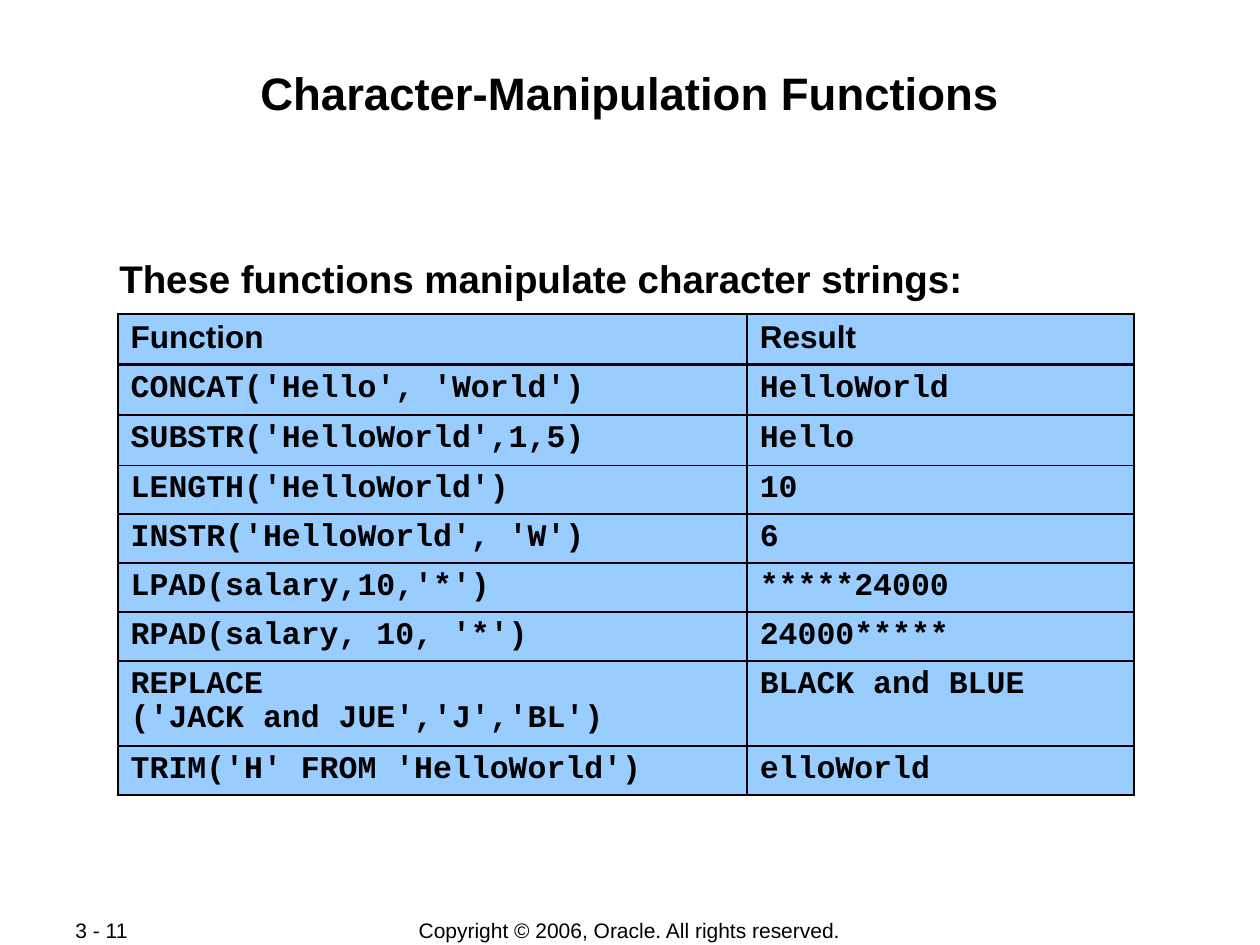
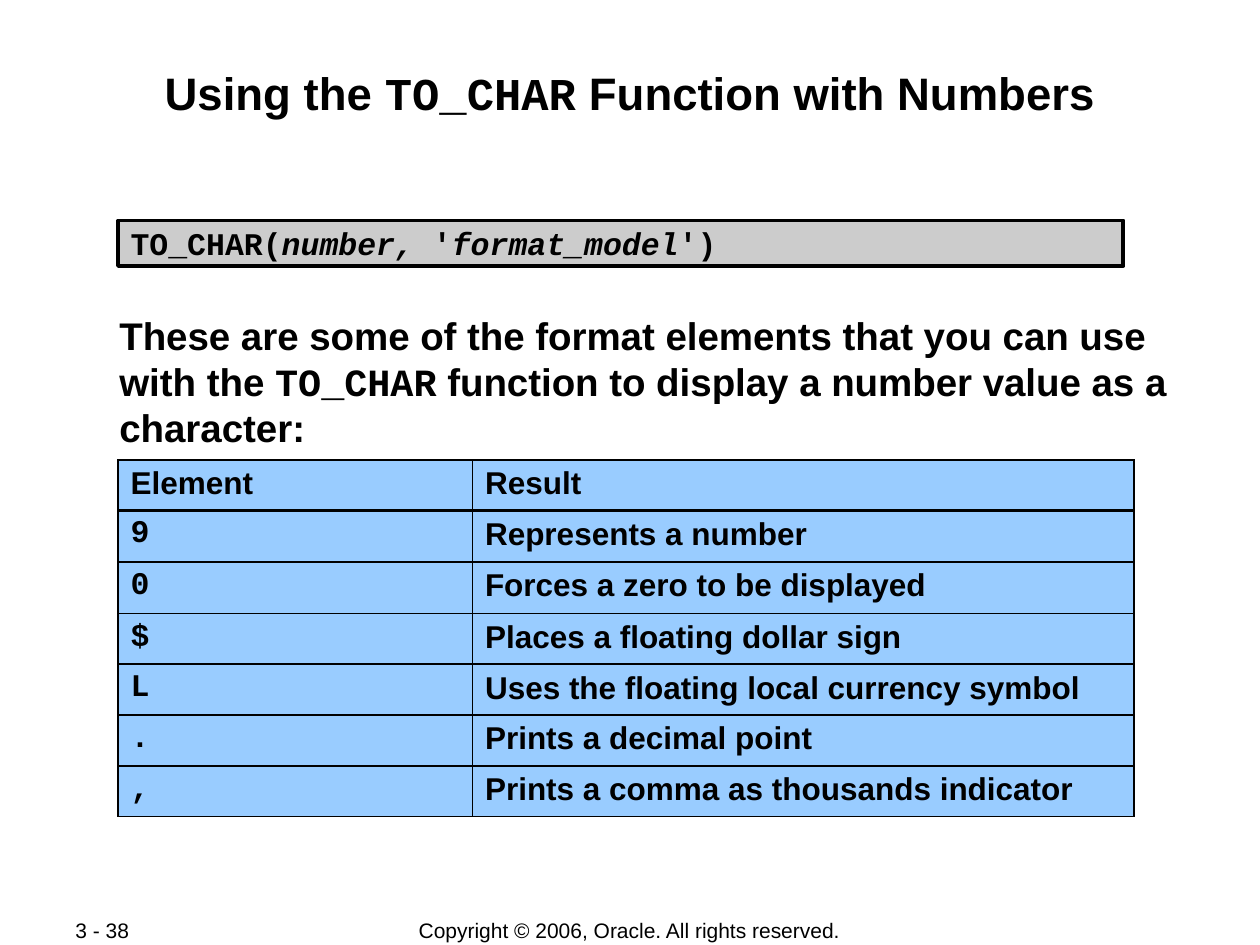
from dataclasses import dataclass
from typing import NamedTuple

from lxml.etree import SubElement
from pptx import Presentation
from pptx.dml.color import RGBColor
from pptx.enum.shapes import MSO_SHAPE
from pptx.enum.text import MSO_ANCHOR, PP_ALIGN
from pptx.oxml.ns import qn
from pptx.util import Pt

BLACK = RGBColor(0x00, 0x00, 0x00)
WHITE = RGBColor(0xFF, 0xFF, 0xFF)
BLUE = RGBColor(0x99, 0xCC, 0xFF)
GREY = RGBColor(0xCC, 0xCC, 0xCC)
SANS, MONO = "Arial", "Courier New"
LEFT = 67.5
THIN, THICK = 1.08, 2.21
RIGHTS = "Copyright © 2006, Oracle. All rights reserved."


class Box(NamedTuple):
    left: float
    top: float
    width: float
    height: float


class Part(NamedTuple):
    text: str
    face: str = SANS
    slant: bool = False


@dataclass
class Grid:
    top: float
    widths: list[float]
    heights: list[float]
    faces: list[str]
    rows: list[tuple[str, str]]


@dataclass
class Page:
    number: str
    title: list[Part]
    lead: list[Part]
    place: Box
    grid: Grid
    syntax: list[Part]


TITLE = Box(48, 36.5, 624, 66)
NUMBER = Box(36, 524, 76, 15)
NOTICE = Box(198, 524, 323.5, 15)
SYNTAX = Box(LEFT, 126, 574.5, 26)

PAGES = [
    Page(
        "3 - 11",
        [Part("Character-Manipulation Functions")],
        [Part("These functions manipulate character strings:")],
        Box(LEFT, 145, 624, 28),
        Grid(
            179.5, [359.5, 221], [28.8] * 3 + [28] * 4 + [48.4, 28], [MONO, MONO],
            [
                ("Function", "Result"),
                ("CONCAT('Hello', 'World')", "HelloWorld"),
                ("SUBSTR('HelloWorld',1,5)", "Hello"),
                ("LENGTH('HelloWorld')", "10"),
                ("INSTR('HelloWorld', 'W')", "6"),
                ("LPAD(salary,10,'*')", "*****24000"),
                ("RPAD(salary, 10, '*')", "24000*****"),
                ("REPLACE\v('JACK and JUE','J','BL')", "BLACK and BLUE"),
                ("TRIM('H' FROM 'HelloWorld')", "elloWorld"),
            ],
        ),
        [],
    ),
    Page(
        "3 - 38",
        [Part("Using the "), Part("TO_CHAR", MONO), Part(" Function with Numbers")],
        [
            Part("These are some of the format elements that you can use with the "),
            Part("TO_CHAR", MONO),
            Part(" function to display a number value as a character:"),
        ],
        Box(LEFT, 177.5, 624, 79),
        Grid(
            262.8, [202.5, 378], [28.8, 29.5, 29.5] + [29] * 4, [MONO, SANS],
            [
                ("Element", "Result"),
                ("9", "Represents a number"),
                ("0", "Forces a zero to be displayed"),
                ("$", "Places a floating dollar sign"),
                ("L", "Uses the floating local currency symbol"),
                (".", "Prints a decimal point"),
                (",", "Prints a comma as thousands indicator"),
            ],
        ),
        [
            Part("TO_CHAR(", MONO),
            Part("number, ", MONO, True),
            Part("'", MONO),
            Part("format_model", MONO, True),
            Part("')", MONO),
        ],
    ),
]


def style(font, face: str, size: float, bold: bool = True, slant: bool = False) -> None:
    font.name, font.size = face, Pt(size)
    font.bold, font.italic = bold, slant
    font.color.rgb = BLACK


def write(shape, parts: list[Part], size: float, bold: bool = True,
          align=PP_ALIGN.LEFT, anchor=MSO_ANCHOR.TOP,
          side: float = 0.72, edge: float = 0.72) -> None:
    frame = shape.text_frame
    frame.word_wrap = True
    frame.vertical_anchor = anchor
    frame.margin_left = frame.margin_right = Pt(side)
    frame.margin_top = frame.margin_bottom = Pt(edge)
    para = frame.paragraphs[0]
    para.alignment = align
    for part in parts:
        run = para.add_run()
        run.text = part.text
        style(run.font, part.face, size, bold, part.slant)


def add_text(slide, box: Box, parts: list[Part], size: float, **look) -> None:
    write(slide.shapes.add_textbox(*map(Pt, box)), parts, size, **look)


def add_foot(slide, number: str) -> None:
    look = dict(bold=False, anchor=MSO_ANCHOR.MIDDLE, side=7.2, edge=0)
    add_text(slide, NOTICE, [Part(RIGHTS)], 12, align=PP_ALIGN.CENTER, **look)
    add_text(slide, NUMBER, [Part(number)], 12, **look)


def add_syntax(slide, parts: list[Part]) -> None:
    shape = slide.shapes.add_shape(MSO_SHAPE.RECTANGLE, *map(Pt, SYNTAX))
    shape.shadow.inherit = False
    shape.fill.solid()
    shape.fill.fore_color.rgb = GREY
    shape.line.color.rgb = BLACK
    shape.line.width = Pt(2.25)
    write(shape, parts, 18, anchor=MSO_ANCHOR.MIDDLE, side=7.2, edge=3.6)


def add_edges(cell, row: int) -> None:
    props = cell._tc.get_or_add_tcPr()
    widths = {
        "L": THIN,
        "R": THIN,
        "T": THICK if row == 1 else THIN,
        "B": THICK if row == 0 else THIN,
    }
    for spot, (side, width) in enumerate(widths.items()):
        line = SubElement(props, qn(f"a:ln{side}"), w=str(Pt(width)))
        fill = SubElement(line, qn("a:solidFill"))
        SubElement(fill, qn("a:srgbClr"), val=str(BLACK))
        props.insert(spot, line)


def add_grid(slide, grid: Grid) -> None:
    box = Box(LEFT, grid.top, sum(grid.widths), sum(grid.heights))
    table = slide.shapes.add_table(
        len(grid.rows), len(grid.widths), *map(Pt, box)).table
    table.first_row = table.horz_banding = False
    for column, width in zip(table.columns, grid.widths):
        column.width = Pt(width)
    for row, (height, texts) in enumerate(zip(grid.heights, grid.rows)):
        table.rows[row].height = Pt(height)
        for col, text in enumerate(texts):
            cell = table.cell(row, col)
            cell.margin_left = cell.margin_right = Pt(7.2)
            cell.margin_top = cell.margin_bottom = Pt(3.6)
            cell.fill.solid()
            cell.fill.fore_color.rgb = BLUE
            add_edges(cell, row)
            face = grid.faces[col] if row else SANS
            para = cell.text_frame.paragraphs[0]
            para.text = text
            para.line_spacing = 0.95 if face == MONO else 1.0
            for run in para.runs:
                style(run.font, face, 18)


def add_page(deck, page: Page) -> None:
    slide = deck.slides.add_slide(deck.slide_layouts[6])
    slide.background.fill.solid()
    slide.background.fill.fore_color.rgb = WHITE
    add_foot(slide, page.number)
    add_text(slide, TITLE, page.title, 26, align=PP_ALIGN.CENTER)
    add_text(slide, page.place, page.lead, 22)
    add_grid(slide, page.grid)
    if page.syntax:
        add_syntax(slide, page.syntax)


def main() -> None:
    deck = Presentation()
    deck.slide_width, deck.slide_height = Pt(720), Pt(540)
    for page in PAGES:
        add_page(deck, page)
    deck.save("out.pptx")


if __name__ == "__main__":
    main()
